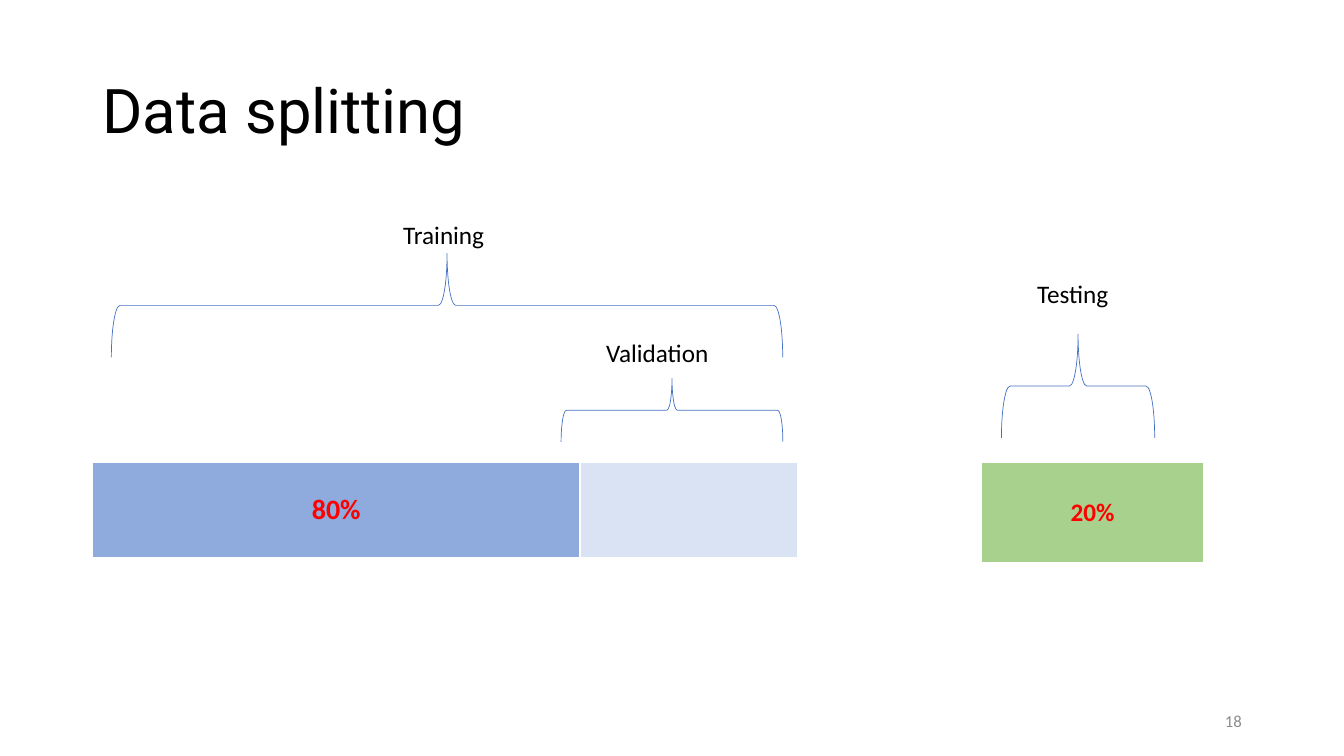
"""Build the data splitting slide."""
from dataclasses import dataclass

from pptx import Presentation
from pptx.dml.color import RGBColor
from pptx.enum.shapes import MSO_SHAPE
from pptx.enum.text import MSO_ANCHOR, PP_ALIGN
from pptx.slide import Slide
from pptx.text.text import TextFrame
from pptx.util import Inches, Pt

WIDTH, HEIGHT = Inches(13.33), Inches(7.5)


@dataclass(frozen=True)
class Theme:
    """Colours, fonts and type sizes of the slide."""
    ink: str = "000000"
    accent: str = "FF0000"
    muted: str = "8C8C8C"
    brace: str = "4472C4"
    training: str = "8FAADC"
    validation: str = "DAE3F3"
    testing: str = "A9D18E"
    title_font: str = "Roboto"
    body_font: str = "Calibri"
    title_size: int = 44
    share_size: int = 20
    label_size: int = 18
    number_size: int = 12


@dataclass(frozen=True)
class Area:
    """A rectangle in hundredths of the slide's width and height."""
    left: float
    top: float
    width: float
    height: float

    def box(self) -> tuple[int, int, int, int]:
        """Return the rectangle as slide lengths."""
        return (across(self.left), down(self.top), across(self.width), down(self.height))


@dataclass(frozen=True)
class Segment:
    """One cell of a data bar."""
    text: str
    width: float
    fill: str
    size: int


@dataclass(frozen=True)
class Bar:
    """A row of data segments."""
    left: float
    height: float
    segments: tuple[Segment, ...]


@dataclass(frozen=True)
class Brace:
    """A brace opening downwards, placed by its middle."""
    center: float
    middle: float
    span: float
    depth: float


@dataclass(frozen=True)
class Label:
    """A caption above a brace."""
    text: str
    left: float
    top: float


THEME = Theme()
BAR_TOP = 61.2
TITLE_AREA = Area(6.88, 5.33, 86.25, 19.33)
NUMBER_AREA = Area(70.65, 92.67, 22.5, 5.33)
BARS = (
    Bar(6.9, 12.57, (
        Segment("80%", 36.25, THEME.training, THEME.share_size),
        Segment("", 16.2, THEME.validation, THEME.label_size),
    )),
    Bar(73.05, 13.25, (Segment("20%", 16.5, THEME.testing, THEME.label_size),)),
)
BRACES = (
    Brace(33.26, 40.4, 49.95, 13.73),
    Brace(80.21, 51.07, 11.4, 13.73),
    Brace(50, 54.27, 16.5, 8.4),
)
LABELS = (
    Label("Training", 25.4, 28.4),
    Label("Validation", 41.3, 44),
    Label("Testing", 72.2, 36.13),
)


def across(share: float) -> int:
    """Turn hundredths of the slide's width into a length."""
    return round(WIDTH * share / 100)


def down(share: float) -> int:
    """Turn hundredths of the slide's height into a length."""
    return round(HEIGHT * share / 100)


def write(frame: TextFrame, text: str, size: int, color: str, align: PP_ALIGN,
          font: str = THEME.body_font, bold: bool = False) -> None:
    """Fill a text frame with one formatted paragraph."""
    frame.text = text
    frame.word_wrap = True
    para = frame.paragraphs[0]
    para.alignment = align
    for span in para.runs:
        span.font.name = font
        span.font.size = Pt(size)
        span.font.bold = bold
        span.font.color.rgb = RGBColor.from_string(color)


def add_title(page: Slide) -> None:
    """Place and format the title placeholder."""
    title = page.shapes.title
    title.left, title.top, title.width, title.height = TITLE_AREA.box()
    write(title.text_frame, "Data splitting", THEME.title_size, THEME.ink,
          PP_ALIGN.LEFT, THEME.title_font)
    title.text_frame.vertical_anchor = MSO_ANCHOR.MIDDLE
    title.text_frame.paragraphs[0].line_spacing = 0.9


def add_bar(page: Slide, bar: Bar) -> None:
    """Draw a data bar as a one-row table."""
    width = sum(segment.width for segment in bar.segments)
    area = Area(bar.left, BAR_TOP, width, bar.height)
    table = page.shapes.add_table(1, len(bar.segments), *area.box()).table
    for index, segment in enumerate(bar.segments):
        table.columns[index].width = across(segment.width)
        cell = table.cell(0, index)
        cell.fill.solid()
        cell.fill.fore_color.rgb = RGBColor.from_string(segment.fill)
        cell.vertical_anchor = MSO_ANCHOR.MIDDLE
        write(cell.text_frame, segment.text, segment.size, THEME.accent,
              PP_ALIGN.CENTER, bold=True)


def add_brace(page: Slide, brace: Brace) -> None:
    """Draw a left brace turned to point upwards."""
    span, depth = across(brace.span), down(brace.depth)
    left = across(brace.center) - depth // 2
    top = down(brace.middle) - span // 2
    shape = page.shapes.add_shape(MSO_SHAPE.LEFT_BRACE, left, top, depth, span)
    shape.rotation = 90
    shape.shadow.inherit = False
    shape.fill.background()
    shape.line.color.rgb = RGBColor.from_string(THEME.brace)
    shape.line.width = Pt(0.5)


def add_label(page: Slide, label: Label) -> None:
    """Write a centred caption."""
    box = page.shapes.add_textbox(*Area(label.left, label.top, 15.22, 5.47).box())
    write(box.text_frame, label.text, THEME.label_size, THEME.ink, PP_ALIGN.CENTER)


def add_number(page: Slide) -> None:
    """Write the slide number."""
    box = page.shapes.add_textbox(*NUMBER_AREA.box())
    write(box.text_frame, "18", THEME.number_size, THEME.muted, PP_ALIGN.RIGHT)
    box.text_frame.vertical_anchor = MSO_ANCHOR.MIDDLE


def main() -> None:
    """Build and save the deck."""
    deck = Presentation()
    deck.slide_width, deck.slide_height = WIDTH, HEIGHT
    page = deck.slides.add_slide(deck.slide_layouts[5])
    add_title(page)
    for bar in BARS:
        add_bar(page, bar)
    add_number(page)
    for brace in BRACES:
        add_brace(page, brace)
    for label in LABELS:
        add_label(page, label)
    deck.save("out.pptx")


if __name__ == "__main__":
    main()
